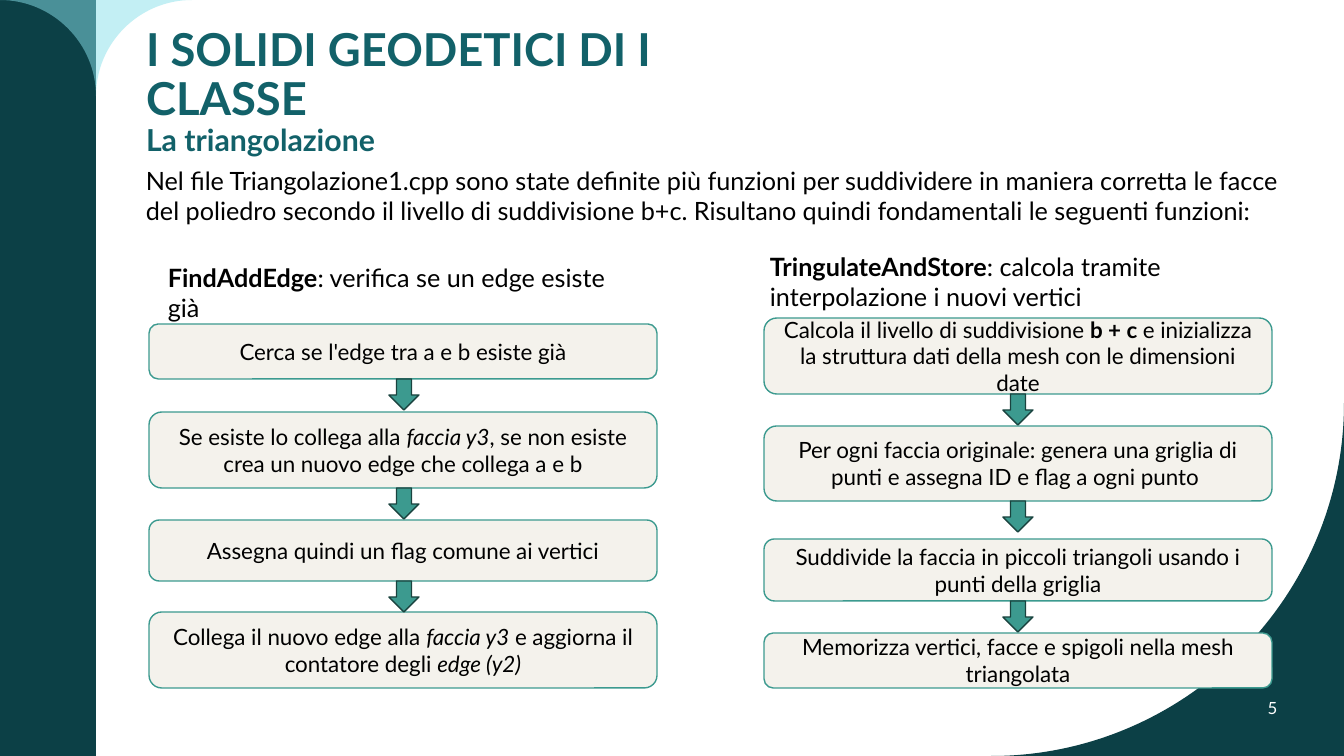
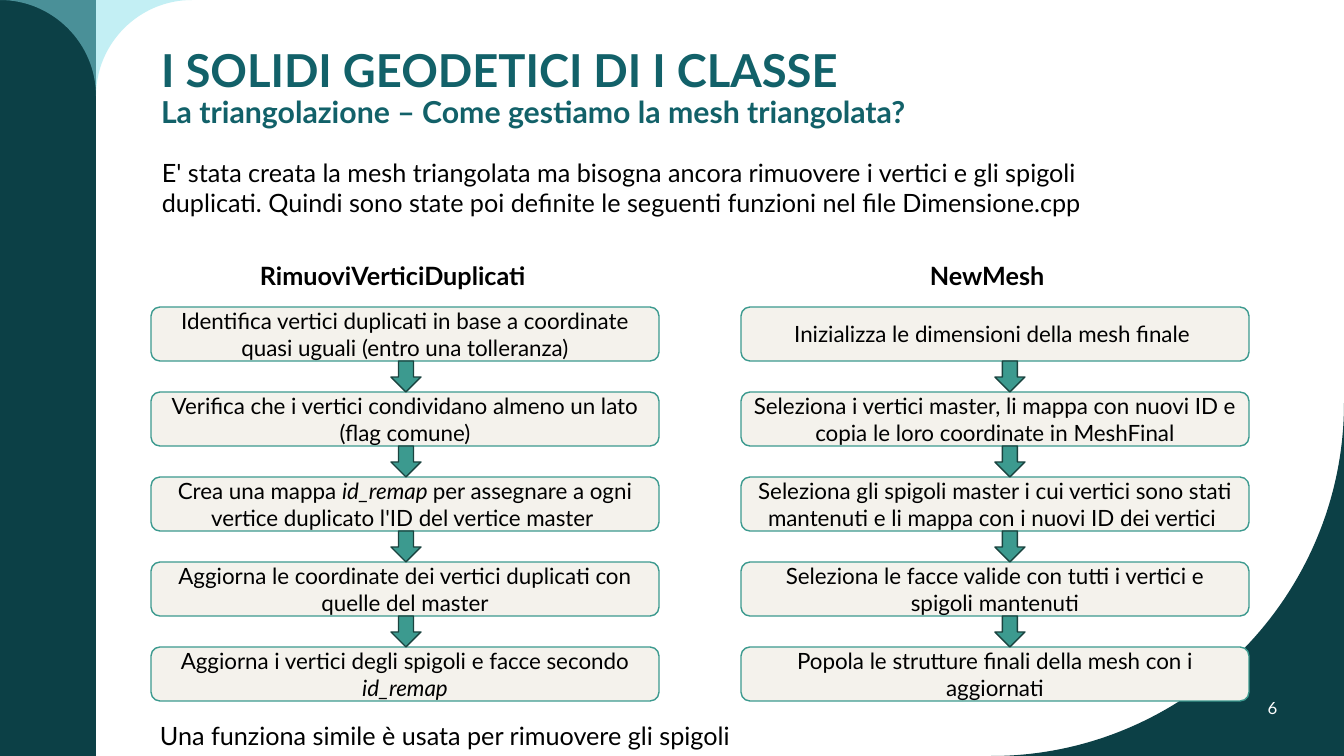
from lxml import etree
from pptx import Presentation
from pptx.dml.color import RGBColor
from pptx.enum.shapes import MSO_SHAPE
from pptx.enum.text import MSO_ANCHOR, MSO_AUTO_SIZE, PP_ALIGN
from pptx.oxml.ns import qn
from pptx.util import Emu, Pt

RECTANGLE = MSO_SHAPE.RECTANGLE
ROUNDED = MSO_SHAPE.ROUNDED_RECTANGLE
DOWN_ARROW = MSO_SHAPE.DOWN_ARROW
MIDDLE = MSO_ANCHOR.MIDDLE
NO_AUTOFIT = MSO_AUTO_SIZE.NONE
LEFT, CENTER = PP_ALIGN.LEFT, PP_ALIGN.CENTER

EMU_PER_PX = 914400 / 100.8
WIDTH, HEIGHT = 1344, 756
TITLE_ONLY_LAYOUT = 5
FONT = "Lato"
COLORS = {
    "dark": "0C4046",
    "pale": "89E1EB",
    "title": "126169",
    "text": "000000",
    "white": "FFFFFF",
    "step": "F4F2EC",
    "accent": "3C9A8F",
    "arrow_line": "1A433F",
}

BAND_WIDTH = 96
CORNER_RADIUS = 353
ARC_HANDLE = 0.45
STEP_WIDTH = 508
ARROW_SIZE = (30, 31)
NUMBER_BOX = (1201, 659, 143, 97)


def even_rows(count, top=307, pitch=85, height=54):
    return [(top + pitch * row, height) for row in range(count)]


# Boxes are (left, top, width, height) in px; rows are (top, height).
# Text is a list of runs: plain strings, or (string, "bold" or "italic").
SLIDES = [
    {
        "number": "5",
        "title": ("I SOLIDI GEODETICI DI I CLASSE", "La triangolazione"),
        "title_box": (136, 23, 686, 139),
        "notes": [
            ((136, 160, 1163, 72),
             ["Nel file Triangolazione1.cpp sono state definite più funzioni per "
              "suddividere in maniera corretta le facce del poliedro secondo il livello "
              "di suddivisione b+c. Risultano quindi fondamentali le seguenti funzioni:"]),
        ],
        "columns": [
            {
                "heading_box": (158, 257, 487, 40),
                "heading": [("FindAddEdge", "bold"), ": verifica se un edge esiste già"],
                "left": 149,
                "arrow_left": 389,
                "rows": [(324, 55), (412, 76), (520, 61), (612, 76)],
                "steps": [
                    ["Cerca se l'edge tra a e b esiste già"],
                    ["Se esiste lo collega alla ", ("faccia y3", "italic"),
                     ", se non esiste crea un nuovo edge che collega a e b"],
                    ["Assegna quindi un flag comune ai vertici"],
                    ["Collega il nuovo edge alla ", ("faccia y3", "italic"),
                     " e aggiorna il contatore degli ", ("edge (y2)", "italic")],
                ],
            },
            {
                "heading_box": (760, 246, 540, 102),
                "heading": [("TringulateAndStore", "bold"),
                            ": calcola tramite interpolazione i nuovi vertici"],
                "left": 764,
                "arrow_left": 1003,
                "rows": [(318, 76), (426, 75), (539, 62), (633, 55)],
                "steps": [
                    ["Calcola il livello di suddivisione ", ("b + c ", "bold"),
                     "e inizializza la struttura dati della mesh con le dimensioni date"],
                    ["Per ogni faccia originale: genera una griglia di punti e assegna "
                     "ID e flag a ogni punto "],
                    ["Suddivide la faccia in piccoli triangoli usando i punti della griglia"],
                    ["Memorizza vertici, facce e spigoli nella mesh triangolata"],
                ],
            },
        ],
    },
    {
        "number": "6",
        "title": ("I SOLIDI GEODETICI DI I CLASSE",
                  "La triangolazione – Come gestiamo la mesh triangolata?"),
        "title_box": (151, 41, 1057, 97),
        "notes": [
            ((152, 152, 1000, 72),
             ["E' stata creata la mesh triangolata ma bisogna ancora rimuovere i vertici "
              "e gli spigoli duplicati. Quindi sono state poi definite le seguenti "
              "funzioni nel file Dimensione.cpp"]),
            ((150, 715, 685, 40),
             ["Una funziona simile è usata per rimuovere gli spigoli"]),
        ],
        "columns": [
            {
                "heading_box": (250, 255, 396, 40),
                "heading": [("RimuoviVerticiDuplicati", "bold")],
                "left": 151,
                "arrow_left": 391,
                "rows": even_rows(5),
                "steps": [
                    ["Identifica vertici duplicati in base a coordinate quasi uguali "
                     "(entro una tolleranza)"],
                    ["Verifica che i vertici condividano almeno un lato (flag comune)"],
                    ["Crea una mappa ", ("id_remap ", "italic"),
                     "per assegnare a ogni vertice duplicato l'ID del vertice master "],
                    ["Aggiorna le coordinate dei vertici duplicati con quelle del master"],
                    ["Aggiorna i vertici degli spigoli e facce secondo ",
                     ("id_remap", "italic")],
                ],
            },
            {
                "heading_box": (920, 255, 150, 40),
                "heading": [("NewMesh", "bold")],
                "left": 741,
                "arrow_left": 995,
                "rows": even_rows(5),
                "steps": [
                    ["Inizializza le dimensioni della mesh finale "],
                    ["Seleziona i vertici master, li mappa con nuovi ID e copia le loro "
                     "coordinate in MeshFinal"],
                    ["Seleziona gli spigoli master i cui vertici sono stati mantenuti e "
                     "li mappa con i nuovi ID dei vertici "],
                    ["Seleziona le facce valide con tutti i vertici e spigoli mantenuti"],
                    ["Popola le strutture finali della mesh con i aggiornati"],
                ],
            },
        ],
    },
]


def px(length):
    return Emu(round(length * EMU_PER_PX))


def color(name):
    return RGBColor.from_string(COLORS[name])


def paint(shape, fill, line=None):
    shape.shadow.inherit = False
    shape.fill.solid()
    shape.fill.fore_color.rgb = color(fill)
    if line:
        shape.line.color.rgb = color(line)
        shape.line.width = Pt(1)
    else:
        shape.line.fill.background()


def add_shape(page, kind, box, fill, line=None):
    shape = page.shapes.add_shape(kind, *map(px, box))
    paint(shape, fill, line)
    return shape


def style(para, size, font_color="text", align=LEFT):
    para.alignment = align
    para.font.name = FONT
    para.font.size = Pt(size)
    para.font.color.rgb = color(font_color)


def write(frame, runs, size, font_color="text", align=LEFT):
    frame.word_wrap = True
    para = frame.paragraphs[0]
    style(para, size, font_color, align)
    for run in runs:
        text, emphasis = (run, None) if isinstance(run, str) else run
        span = para.add_run()
        span.text = text
        if emphasis == "bold":
            span.font.bold = True
        elif emphasis == "italic":
            span.font.italic = True


def add_text(page, box, runs, size, font_color="text", align=LEFT):
    frame = page.shapes.add_textbox(*map(px, box)).text_frame
    write(frame, runs, size, font_color, align)
    return frame


def add_corners(page, x, y, reaches, fill):
    """Fill the corner at (x, y) outside one quarter circle per (dx, dy) reach."""
    builder = page.shapes.build_freeform(px(x), px(y))
    for dx, dy in reaches:
        builder.add_line_segments([(px(x), px(y + dy)), (px(x + dx), px(y)),
                                   (px(x), px(y))], close=False)
    shape = builder.convert_to_shape()
    paint(shape, fill)
    points = list(shape.element.iter(qn("a:pt")))
    corner = points[0]
    for start, end in zip(points[1::3], points[2::3]):
        curve = end.getparent()
        curve.tag = qn("a:cubicBezTo")
        for position, anchor in enumerate((start, end)):
            handle = {axis: str(round(int(corner.get(axis)) + ARC_HANDLE
                                      * (int(anchor.get(axis)) - int(corner.get(axis)))))
                      for axis in ("x", "y")}
            curve.insert(position, etree.Element(qn("a:pt"), handle))
    return shape


def decorate_layout(layout, page):
    """Draw the shared decoration on a page, then move it to the layout."""
    wings = add_corners(page, BAND_WIDTH, 0,
                        [(-BAND_WIDTH, BAND_WIDTH), (BAND_WIDTH, BAND_WIDTH)], "pale")
    for fill_color in wings.element.spPr.iter(qn("a:srgbClr")):
        etree.SubElement(fill_color, qn("a:alpha"), val="50000")
    decoration = [
        add_corners(page, WIDTH, HEIGHT, [(-CORNER_RADIUS, -CORNER_RADIUS)], "dark"),
        add_shape(page, RECTANGLE, (0, 0, BAND_WIDTH, HEIGHT), "dark"),
        wings,
    ]
    for position, shape in enumerate(decoration, start=2):
        layout.shapes.element.insert(position, shape.element)


def fill_title(page, box, lines):
    title = page.shapes.title
    title.left, title.top, title.width, title.height = map(px, box)
    frame = title.text_frame
    frame.text = "\n".join(lines)
    frame.word_wrap = True
    frame.auto_size = NO_AUTOFIT
    frame.vertical_anchor = MIDDLE
    for para, size in zip(frame.paragraphs, (32.4, 21.6)):
        style(para, size, "title")
        para.font.bold = True
        para.line_spacing = 0.9


def add_column(page, column):
    add_text(page, column["heading_box"], column["heading"], 18)
    for (top, height), runs in zip(column["rows"], column["steps"]):
        step = add_shape(page, ROUNDED, (column["left"], top, STEP_WIDTH, height),
                         "step", "accent")
        step.text_frame.vertical_anchor = MIDDLE
        write(step.text_frame, runs, 16, align=CENTER)
    for top, height in column["rows"][:-1]:
        add_shape(page, DOWN_ARROW, (column["arrow_left"], top + height, *ARROW_SIZE),
                  "accent", "arrow_line")


def main():
    deck = Presentation()
    deck.slide_width, deck.slide_height = px(WIDTH), px(HEIGHT)
    layout = deck.slide_layouts[TITLE_ONLY_LAYOUT]
    for index, content in enumerate(SLIDES):
        page = deck.slides.add_slide(layout)
        if index == 0:
            decorate_layout(layout, page)
        fill_title(page, content["title_box"], content["title"])
        number = add_text(page, NUMBER_BOX, [content["number"]], 12, "white", CENTER)
        number.vertical_anchor = MIDDLE
        for box, runs in content["notes"]:
            add_text(page, box, runs, 18)
        for column in content["columns"]:
            add_column(page, column)
    deck.save("out.pptx")


if __name__ == "__main__":
    main()
